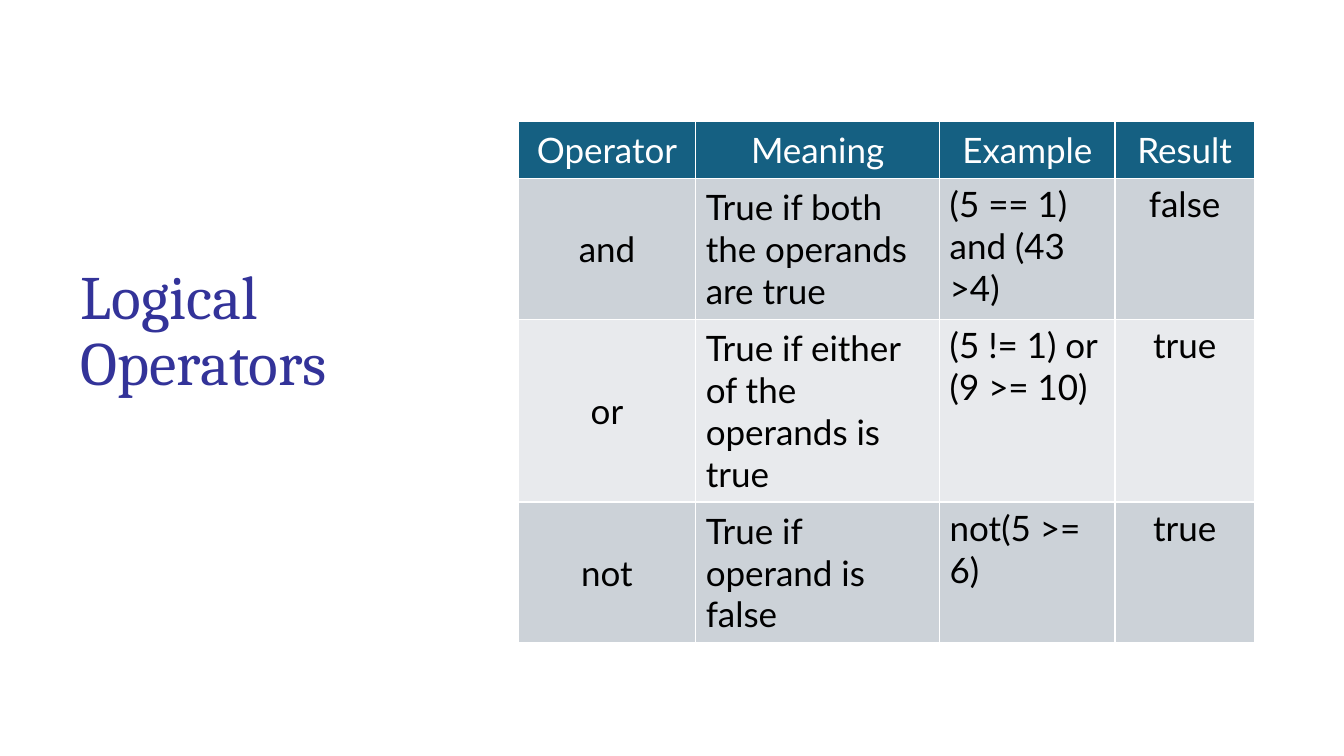
"""Build the slide on logical operators: a title beside a table."""
from dataclasses import dataclass

from lxml.etree import SubElement
from pptx import Presentation
from pptx.dml.color import RGBColor
from pptx.enum.text import MSO_ANCHOR, MSO_AUTO_SIZE, PP_ALIGN
from pptx.oxml.ns import qn
from pptx.util import Inches, Pt

TITLE = "Logical Operators"
ROWS = [
    ("Operator", "Meaning", "Example", "Result"),
    ("and", "True if both the operands are true", "(5 == 1) and (43 >4)", "false"),
    ("or", "True if either of the operands is true", "(5 != 1) or (9 >= 10)", "true"),
    ("not", "True if operand is false", "not(5 >= 6)", "true"),
]
WIDE, HIGH = 13.33, 7.5
TITLE_BOX = (0.7, 1.12, 3.45, 2.89)
TABLE_AT = (5.14, 1.2)
COLS = (1.76, 2.42, 1.74, 1.38)
HEIGHTS = (0.57, 1.4, 1.81, 1.4)
CENTRED = (0, 3)
MIDDLE = (0, 1)


@dataclass(frozen=True)
class Theme:
    title: str = "333399"
    head: str = "156082"
    bands: tuple = ("E8EAED", "CCD2D8")
    light: str = "FFFFFF"
    dark: str = "000000"
    title_font: str = "Cambria"
    font: str = "Lato"
    title_size: int = 44
    size: int = 25
    rule: int = 1


LOOK = Theme()


def write(frame, text, *, font=LOOK.font, size=LOOK.size, color=LOOK.dark,
          align=PP_ALIGN.LEFT, spacing=1.0):
    frame.word_wrap = True
    para = frame.paragraphs[0]
    para.alignment, para.line_spacing = align, spacing
    run = para.add_run()
    run.text = text
    run.font.name, run.font.size, run.font.bold = font, Pt(size), False
    run.font.color.rgb = RGBColor.from_string(color)


def paint(cell, color):
    props = cell._tc.get_or_add_tcPr()
    for side in ("a:lnL", "a:lnR", "a:lnT", "a:lnB"):
        line = SubElement(props, qn(side), w=str(Pt(LOOK.rule)))
        fill = SubElement(line, qn("a:solidFill"))
        SubElement(fill, qn("a:srgbClr"), val=LOOK.light)
    cell.fill.solid()
    cell.fill.fore_color.rgb = RGBColor.from_string(color)


def add_title(slide):
    title = slide.shapes.title
    title.left, title.top, title.width, title.height = map(Inches, TITLE_BOX)
    frame = title.text_frame
    frame.auto_size = MSO_AUTO_SIZE.NONE
    frame.vertical_anchor = MSO_ANCHOR.BOTTOM
    write(frame, TITLE, font=LOOK.title_font, size=LOOK.title_size,
          color=LOOK.title, spacing=0.9)


def add_grid(slide):
    box = map(Inches, (*TABLE_AT, sum(COLS), sum(HEIGHTS)))
    table = slide.shapes.add_table(len(ROWS), len(COLS), *box).table
    for col, width in zip(table.columns, COLS):
        col.width = Inches(width)
    for row, height in zip(table.rows, HEIGHTS):
        row.height = Inches(height)
    for r, row in enumerate(ROWS):
        for c, text in enumerate(row):
            cell, head = table.cell(r, c), r == 0
            paint(cell, LOOK.head if head else LOOK.bands[r % 2])
            mid = head or c in MIDDLE
            cell.vertical_anchor = MSO_ANCHOR.MIDDLE if mid else MSO_ANCHOR.TOP
            write(cell.text_frame, text,
                  color=LOOK.light if head else LOOK.dark,
                  align=PP_ALIGN.CENTER if head or c in CENTRED else PP_ALIGN.LEFT)


def main():
    deck = Presentation()
    deck.slide_width, deck.slide_height = Inches(WIDE), Inches(HIGH)
    slide = deck.slides.add_slide(deck.slide_layouts[5])
    add_title(slide)
    add_grid(slide)
    deck.save("out.pptx")


if __name__ == "__main__":
    main()
